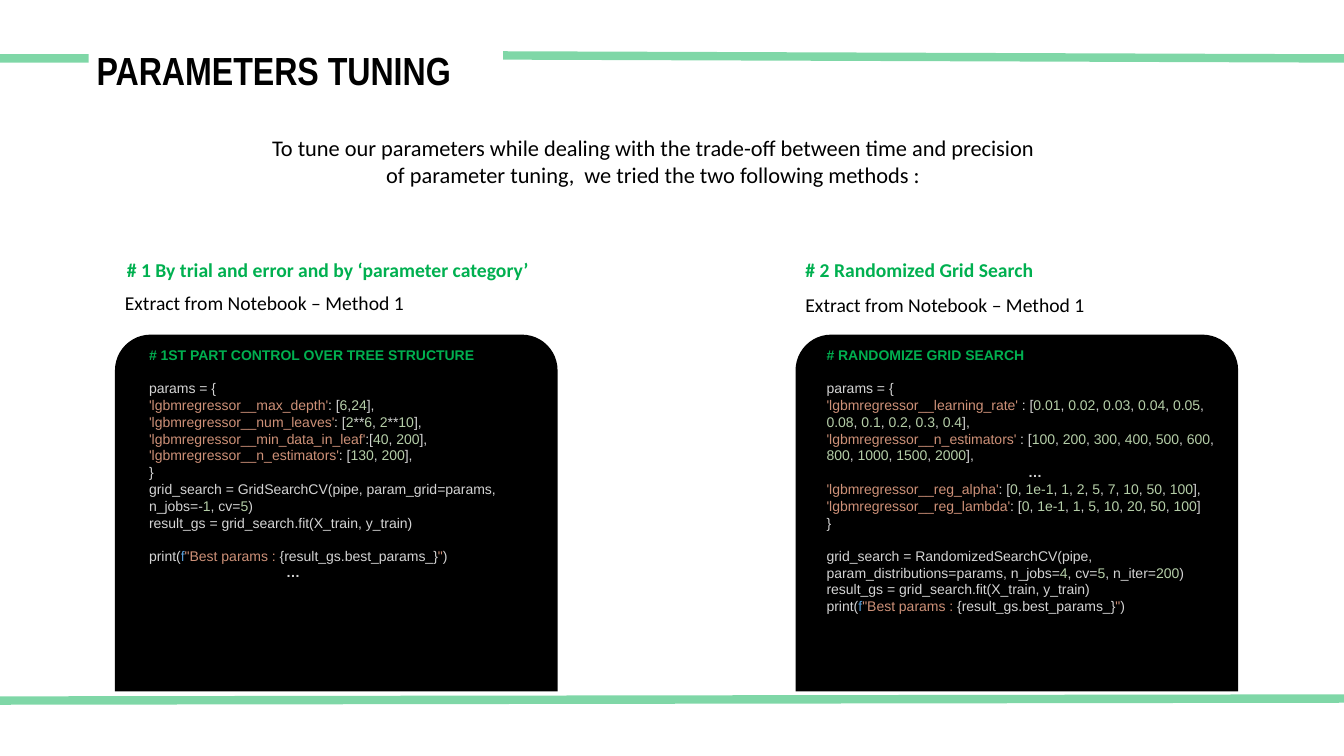
import itertools

import pptx
import pptx.dml.color
import pptx.enum.shapes
import pptx.enum.text
import pptx.util
from lxml import etree
from pptx.oxml.ns import qn
from pptx.util import Inches, Pt

COLORS = {
    "black": "000000",
    "green": "00B050",
    "code": "D4D4D4",
    "string": "CE9178",
    "number": "B5CEA8",
    "prefix": "569CD6",
}
LINE_HEIGHT = Pt(11.5)


def rgb(name):
    return pptx.dml.color.RGBColor.from_string(COLORS[name])


def add_text(left, top, width, height, text, size, font, color="black", bold=False):
    """Add a wrapping text box and return its text frame."""
    box = slide.shapes.add_textbox(Inches(left), Inches(top), Inches(width), Inches(height))
    frame = box.text_frame
    frame.word_wrap = True
    frame.auto_size = pptx.enum.text.MSO_AUTO_SIZE.SHAPE_TO_FIT_TEXT
    paragraph = frame.paragraphs[0]
    paragraph.text = text
    paragraph.font.size = Pt(size)
    paragraph.font.name = font
    paragraph.font.bold = bold
    paragraph.font.color.rgb = rgb(color)
    return frame


presentation = pptx.Presentation()
presentation.slide_width = Inches(13.33)
presentation.slide_height = Inches(7.5)
slide = presentation.slides.add_slide(presentation.slide_layouts[6])

# Translucent green rules
for x1, y1, x2, y2 in [(0, 0.58, 0.88, 0.58), (4.99, 0.55, 13.33, 0.58), (0, 6.95, 13.33, 6.93)]:
    rule = slide.shapes.add_connector(
        pptx.enum.shapes.MSO_CONNECTOR.STRAIGHT, Inches(x1), Inches(y1), Inches(x2), Inches(y2))
    rule.line.width = Pt(6)
    rule.line.color.rgb = rgb("green")
    properties = rule._element.spPr
    etree.SubElement(next(properties.iter(qn("a:srgbClr"))), qn("a:alpha"), val="49000")
    etree.SubElement(properties, qn("a:effectLst"))

add_text(0.86, 0.41, 4.54, 0.57, "PARAMETERS TUNING", 28, "Arial Narrow", bold=True)
intro = add_text(
    2.55, 1.28, 7.86, 0.64,
    "To tune our parameters while dealing with the trade-off between time and precision "
    "of parameter tuning,  we tried the two following methods :", 16, "Calibri")
intro.paragraphs[0].alignment = pptx.enum.text.PP_ALIGN.CENTER

# Each code line: (blank line before, left indent in inches, coloured segments)
params_line = (True, 0, [("code", "params = {")])
closing_line = (False, 0, [("code", "}")])
fit_line = (False, 0, [("code", "result_gs = grid_search.fit(X_train, y_train)")])
print_segments = [
    ("code", "print("), ("prefix", "f"), ("string", '"Best params : '),
    ("code", "{result_gs.best_params_}"), ("string", '"'), ("code", ")"),
]
trial_params = [
    ("max_depth", ": [6,24],"),
    ("num_leaves", ": [2**6, 2**10],"),
    ("min_data_in_leaf", ":[40, 200],"),
    ("n_estimators", ": [130, 200],"),
]
random_params = [
    ("learning_rate", " : [0.01, 0.02, 0.03, 0.04, 0.05, 0.08, 0.1, 0.2, 0.3, 0.4],"),
    ("n_estimators", " : [100, 200, 300, 400, 500, 600, 800, 1000, 1500, 2000],"),
    ("reg_alpha", ": [0, 1e-1, 1, 2, 5, 7, 10, 50, 100],"),
    ("reg_lambda", ": [0, 1e-1, 1, 5, 10, 20, 50, 100]"),
]
trial_lines, random_lines = [
    [(False, 0, [("string", f"'lgbmregressor__{name}'"), ("code", values)])
     for name, values in params]
    for params in (trial_params, random_params)
]
trial_code = [
    params_line, *trial_lines, closing_line,
    (False, 0, [("code", "grid_search = GridSearchCV(pipe, param_grid=params, n_jobs=-"),
                ("code", "1, cv=5)")]),
    fit_line,
    (True, 0, print_segments),
    (False, 1.36, [("code", "…")]),
]
random_code = [
    params_line, *random_lines[:2],
    (False, 2, [("code", "…")]),
    *random_lines[2:], closing_line,
    (True, 0, [("code", "grid_search = RandomizedSearchCV(pipe, "
                        "param_distributions=params, n_jobs=4, cv=5, n_iter=200)")]),
    fit_line,
    (False, 0, print_segments),
]

methods = [
    (1.14, 1.16, 4.2, "# 1 By trial and error and by ‘parameter category’", 2.84,
     1.38, 3.91, 2.46, "# 1ST PART CONTROL OVER TREE STRUCTURE", trial_code),
    (7.89, 7.89, 2.48, "# 2 Randomized Grid Search", 2.86,
     8.1, 4.07, 2.79, "# RANDOMIZE GRID SEARCH", random_code),
]
for (left, heading_left, heading_width, heading, caption_top,
     code_left, code_width, code_height, comment, code) in methods:
    panel = slide.shapes.add_shape(
        pptx.enum.shapes.MSO_SHAPE.ROUND_2_SAME_RECTANGLE,
        Inches(left), Inches(3.32), Inches(4.39), Inches(3.54))
    panel.adjustments[0] = 0.1
    panel.adjustments[1] = 0
    panel.shadow.inherit = False
    panel.fill.solid()
    panel.fill.fore_color.rgb = rgb("black")
    panel.line.fill.background()

    add_text(heading_left, 2.51, heading_width, 0.34, heading, 14, "Calibri", "green", True)
    add_text(left, caption_top, 3.07, 0.34, "Extract from Notebook – Method 1", 14, "Calibri")
    frame = add_text(code_left, 3.39, code_width, code_height, comment, 10, "Arial", "green", True)

    for blank_before, indent, segments in code:
        paragraph = frame.add_paragraph()
        paragraph.font.size = Pt(10)
        paragraph.font.name = "Arial"
        paragraph.font.bold = indent > 0
        if blank_before:
            paragraph.space_before = LINE_HEIGHT
        if indent:
            paragraph._p.get_or_add_pPr().set("marL", str(Inches(indent)))
        for color, text in segments:
            pieces = [(color, text)]
            if color == "code":
                words = ["".join(group) for _, group in
                         itertools.groupby(text, lambda letter: letter in " ,:[]()=*")]
                kinds = itertools.groupby(words, lambda word: word[0].isdigit())
                pieces = [("number" if numeric else "code", "".join(group))
                          for numeric, group in kinds]
            for piece_color, piece in pieces:
                run = paragraph.add_run()
                run.text = piece
                run.font.color.rgb = rgb(piece_color)

presentation.save("out.pptx")
